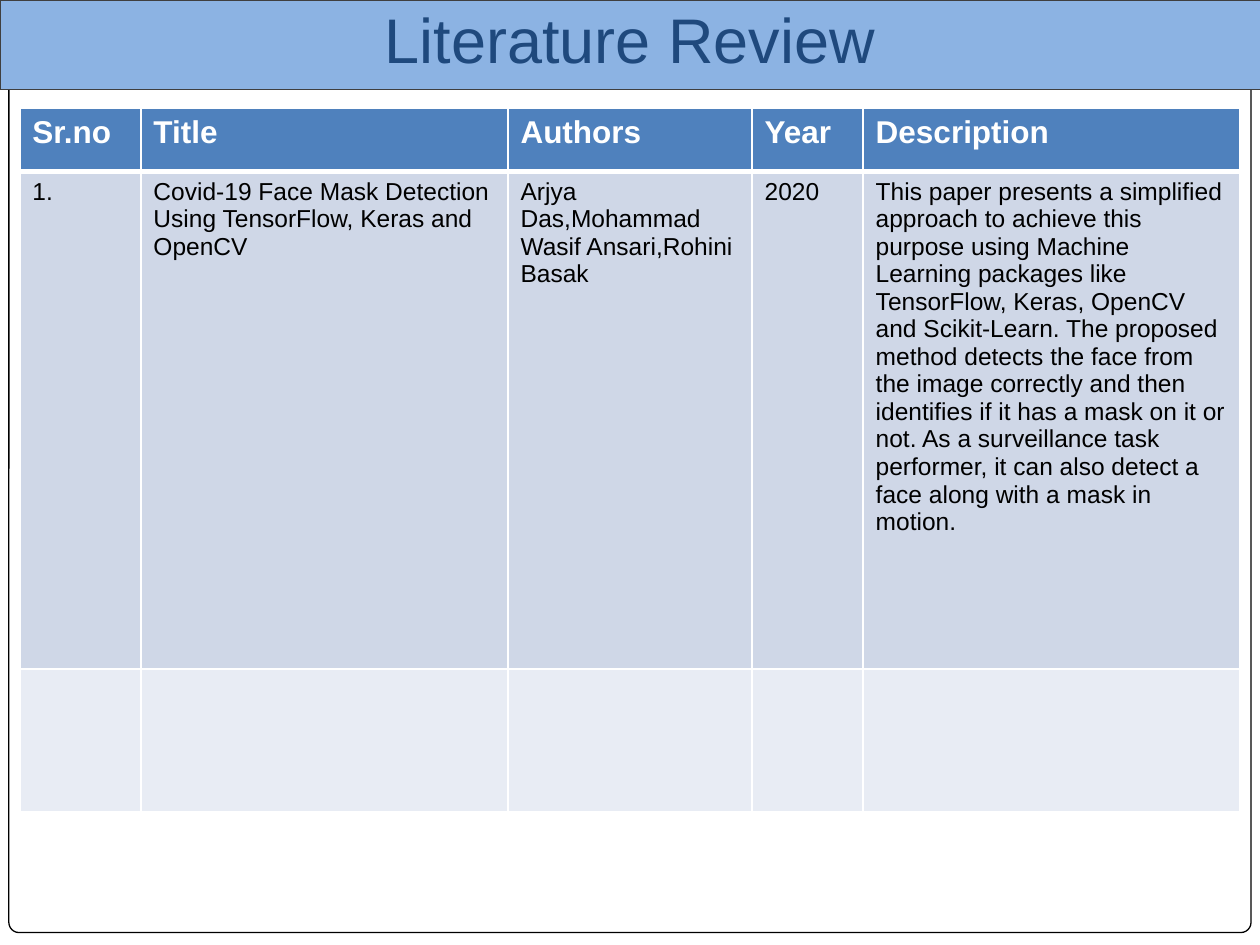
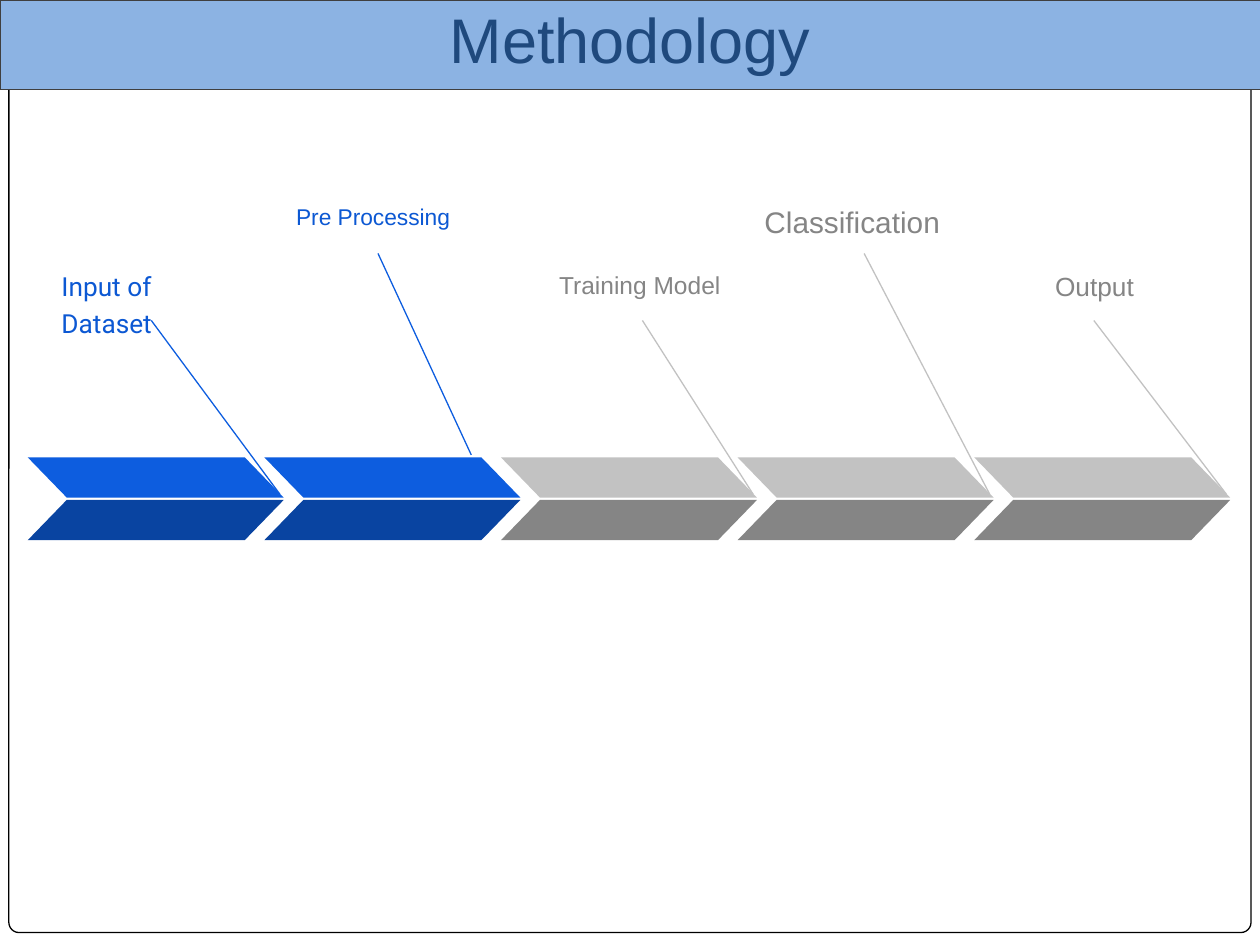
from lxml.etree import SubElement
from pptx import Presentation
from pptx.dml.color import RGBColor
from pptx.enum.shapes import MSO_CONNECTOR, MSO_SHAPE
from pptx.enum.text import MSO_ANCHOR, MSO_AUTO_SIZE, PP_ALIGN
from pptx.oxml.ns import qn
from pptx.util import Cm, Pt

COLORS = {
    "white": "FFFFFF", "black": "000000",
    "band": "8CB3E3", "band_edge": "3F3F3F", "title": "1F497D",
    "header": "4F81BD", "row_dark": "CFD7E7", "row_light": "E8ECF4",
    "blue": "0D5DDF", "deep_blue": "0944A1", "label_blue": "0C58D3",
    "silver": "C2C2C2", "gray": "858585",
}
INSET = Cm(0.25)


def rgb(name):
    return RGBColor.from_string(COLORS[name])


def write(frame, text, *, size, color, font="Arial", bold=False, align=None,
          spacing=None, after=None, indent=0):
    """Put one formatted paragraph into a text frame."""
    paragraph = frame.paragraphs[0]
    paragraph.alignment = align
    if spacing:
        paragraph.line_spacing = spacing
    if after is not None:
        paragraph.space_after = Pt(after)
    if indent:
        properties = paragraph._p.get_or_add_pPr()
        properties.set("marL", str(Cm(indent)))
        properties.set("indent", "0")
    run = paragraph.add_run()
    run.text = text
    run.font.size = Pt(size)
    run.font.name = font
    run.font.bold = bold
    run.font.color.rgb = rgb(color)


class Deck:
    """Holds the shared style and the slide being built."""

    def __init__(self):
        self.presentation = Presentation()
        self.presentation.slide_width = Cm(25.4)
        self.presentation.slide_height = Cm(19.05)
        self.slide = None

    def start_slide(self, heading):
        layout = self.presentation.slide_layouts.get_by_name("Title Only")
        self.slide = self.presentation.slides.add_slide(layout)
        self.shape(MSO_SHAPE.ROUNDED_RECTANGLE, 0.18, 0.2, 25.04, 18.6,
                   "white", line="black", adjust=0.011)
        self.shape(MSO_SHAPE.RECTANGLE, 0, 0, 25.48, 1.8,
                   "band", line="band_edge")
        self.title(heading)

    def title(self, heading):
        title = self.slide.shapes.title
        title.left, title.top = Cm(0), Cm(0)
        title.width, title.height = Cm(25.4), Cm(1.78)
        frame = title.text_frame
        frame.auto_size = MSO_AUTO_SIZE.NONE
        frame.vertical_anchor = MSO_ANCHOR.BOTTOM
        frame.margin_bottom = INSET
        write(frame, heading, size=36, color="title", align=PP_ALIGN.CENTER)
        # Bring the title in front of its band
        self.slide.shapes._spTree.append(title._element)

    def shape(self, kind, left, top, width, height, fill, line=None,
              adjust=None, flip=False):
        shape = self.slide.shapes.add_shape(
            kind, Cm(left), Cm(top), Cm(width), Cm(height))
        shape.shadow.inherit = False
        shape.fill.solid()
        shape.fill.fore_color.rgb = rgb(fill)
        if line:
            shape.line.color.rgb = rgb(line)
            shape.line.width = Pt(0.75)
        else:
            shape.line.fill.background()
        if adjust is not None:
            shape.adjustments[0] = adjust
        if flip:
            shape._element.spPr.find(qn("a:xfrm")).set("flipH", "1")

    def line(self, x1, y1, x2, y2, color):
        line = self.slide.shapes.add_connector(
            MSO_CONNECTOR.STRAIGHT, Cm(x1), Cm(y1), Cm(x2), Cm(y2))
        line.line.color.rgb = rgb(color)
        line.line.width = Pt(0.75)
        SubElement(line._element.spPr, qn("a:effectLst"))

    def label(self, text, left, top, width, height, **text_format):
        box = self.slide.shapes.add_textbox(
            Cm(left), Cm(top), Cm(width), Cm(height))
        frame = box.text_frame
        frame.word_wrap = True
        frame.margin_left = frame.margin_right = INSET
        frame.margin_top = frame.margin_bottom = INSET
        write(frame, text, spacing=1.15, after=16, **text_format)

    def cell_borders(self, cell, **widths):
        properties = cell._tc.get_or_add_tcPr()
        for side in "LRTB":
            border = SubElement(properties, qn(f"a:ln{side}"),
                                w=str(Pt(widths.get(side, 1))))
            fill = SubElement(border, qn("a:solidFill"))
            SubElement(fill, qn("a:srgbClr"), val=COLORS["white"])

    def table(self, left, top, widths, heights, rows):
        table = self.slide.shapes.add_table(
            len(heights), len(widths), Cm(left), Cm(top),
            Cm(sum(widths)), Cm(sum(heights))).table
        for column, width in zip(table.columns, widths):
            column.width = Cm(width)
        for row, height in zip(table.rows, heights):
            row.height = Cm(height)
        styles = [
            ("header", {"B": 3}, {"size": 18, "color": "white", "bold": True}),
            ("row_dark", {"T": 3}, {"size": 14, "color": "black"}),
            ("row_light", {}, {"size": 14, "color": "black"}),
        ]
        for row, texts, (fill, borders, text_format) in zip(
                table.rows, rows, styles):
            for cell, text in zip(row.cells, texts):
                self.cell_borders(cell, **borders)
                cell.fill.solid()
                cell.fill.fore_color.rgb = rgb(fill)
                if text:
                    write(cell.text_frame, text, **text_format)


def build_literature_review(deck):
    deck.start_slide("Literature Review")
    papers = [
        ["Sr.no", "Title", "Authors", "Year", "Description"],
        ["1.",
         "Covid-19 Face Mask Detection Using TensorFlow, Keras and OpenCV",
         "Arjya Das,Mohammad Wasif Ansari,Rohini Basak",
         "2020",
         "This paper presents a simplified approach to achieve this purpose "
         "using Machine Learning packages like TensorFlow, Keras, OpenCV and "
         "Scikit-Learn. The proposed method detects the face from the image "
         "correctly and then identifies if it has a mask on it or not. As a "
         "surveillance task performer, it can also detect a face along with "
         "a mask in motion."],
        [""] * 5,
    ]
    deck.table(0.4, 2.19, [2.44, 7.4, 4.92, 2.24, 7.6],
               [1.27, 10.03, 2.87], papers)


def build_methodology(deck):
    deck.start_slide("Methodology")
    first_left, pitch, width, height = 0.56, 4.77, 5.16, 0.81
    upper_top, lower_top = 9.22, 10.08
    high, low, label_height = 3.76, 5.11, 1.35
    tip, early_tip = (5.08, 9.96), (4.17, 9.17)
    active = ("blue", "deep_blue", "label_blue")
    pending = ("silver", "gray", "gray")

    # Step, label left / top / width, text format, pointer start and tip, colours
    steps = [
        ("Input of Dataset", 0.99, low, 4.11,
         {"size": 15, "font": "Roboto"}, 3.05, tip, active),
        ("Pre Processing", 5.72, high, 3.81,
         {"size": 13}, 7.62, early_tip, active),
        ("Training Model", 11.02, low, 3.84,
         {"size": 14}, 12.95, tip, pending),
        ("Classification", 14.83, high, 5.16,
         {"size": 17, "indent": 0.33}, 17.42, tip, pending),
        ("Output", 20.02, low, 4.06,
         {"size": 15, "indent": 1}, 22.05, tip, pending),
    ]
    for index, step in enumerate(steps):
        (name, label_left, label_top, label_width, text_format,
         pointer_x, (tip_x, tip_y), (upper, lower, ink)) = step
        left = first_left + index * pitch
        deck.line(pointer_x, label_top + label_height,
                  left + tip_x, tip_y, upper)
        # Two mirrored halves make one chevron
        deck.shape(MSO_SHAPE.PARALLELOGRAM, left, upper_top, width, height,
                   upper, adjust=0.97, flip=True)
        deck.shape(MSO_SHAPE.PARALLELOGRAM, left, lower_top, width, height,
                   lower, adjust=0.97)
        deck.label(name, label_left, label_top, label_width, label_height,
                   color=ink, **text_format)


def main():
    deck = Deck()
    build_literature_review(deck)
    build_methodology(deck)
    deck.presentation.save("out.pptx")


if __name__ == "__main__":
    main()
